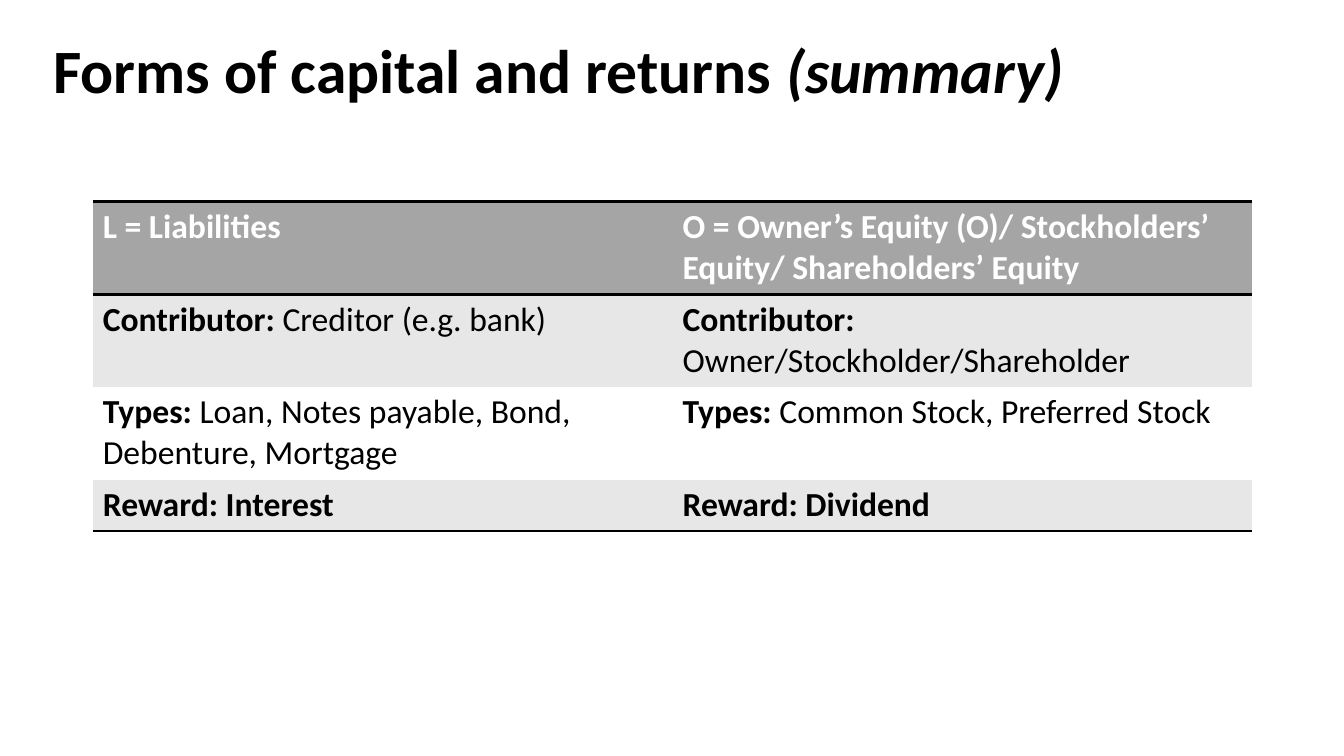
from lxml import etree
from pptx import Presentation
from pptx import util as u
from pptx.dml.color import RGBColor
from pptx.enum import text
from pptx.oxml.ns import qn

INK = {"black": "000000", "white": "FFFFFF", "head": "A5A5A5", "band": "E7E7E7"}
WIDE, HIGH = 13.33, 7.5
LINE, PAD = 0.41, 0.1
ROWS = [
    (2, [[("L = Liabilities", True)],
         [("O = Owner’s Equity (O)/ Stockholders’ Equity/ Shareholders’ Equity", True)]]),
    (2, [[("Contributor: ", True), ("Creditor (e.g. bank)", False)],
         [("Contributor: ", True), ("Owner/Stockholder/Shareholder", False)]]),
    (2, [[("Types: ", True), ("Loan, Notes payable, Bond, Debenture, Mortgage", False)],
         [("Types: ", True), ("Common Stock, Preferred Stock", False)]]),
    (1, [[("Reward: Interest", True)], [("Reward: Dividend", True)]]),
]


def tint(name):
    """Return a named colour."""
    return RGBColor.from_string(INK[name])


def style(para, size, ink):
    """Set the font that all runs of a paragraph share."""
    para.font.name = "Calibri"
    para.font.size = u.Pt(size)
    para.font.color.rgb = tint(ink)


def edge(cell, side, ruled):
    """Draw a black rule on one side of a cell, or clear that side."""
    line = etree.SubElement(cell._tc.get_or_add_tcPr(), qn("a:ln" + side))
    if ruled:
        line.set("w", str(u.Pt(2)))
        fill = etree.SubElement(line, qn("a:solidFill"))
        etree.SubElement(fill, qn("a:srgbClr")).set("val", INK["black"])
    else:
        etree.SubElement(line, qn("a:noFill"))


def title(slide):
    """Add the heading with its italic ending."""
    box = slide.shapes.add_textbox(u.Inches(0.43), u.Inches(0.29), u.Inches(11.5), u.Inches(0.88))
    frame = box.text_frame
    frame.word_wrap = True
    frame.vertical_anchor = text.MSO_ANCHOR.MIDDLE
    para = frame.paragraphs[0]
    para.line_spacing = 0.9
    para.add_run().text = "Forms of capital and returns "
    run = para.add_run()
    run.text = "(summary)"
    run.font.italic = True
    style(para, 44, "black")
    para.font.bold = True


def fill(cell, runs, row):
    """Write one cell and give it the rules and fill of its row."""
    para = cell.text_frame.paragraphs[0]
    for words, bold in runs:
        run = para.add_run()
        run.text = words
        run.font.bold = bold
    style(para, 24, "black" if row else "white")
    for side, ruled in (("L", False), ("R", False), ("T", row < 2), ("B", row in (0, len(ROWS) - 1))):
        edge(cell, side, ruled)
    shade = "band" if row % 2 else "white"
    cell.fill.solid()
    cell.fill.fore_color.rgb = tint(shade if row else "head")


def grid(slide):
    """Add the table of liabilities against equity."""
    high = sum(lines * LINE + PAD for lines, _ in ROWS)
    frame = slide.shapes.add_table(len(ROWS), 2, u.Inches(0.92), u.Inches(2), u.Inches(11.5), u.Inches(high))
    table = frame.table
    table.horz_banding = False
    for row, (lines, cells) in enumerate(ROWS):
        table.rows[row].height = u.Inches(lines * LINE + PAD)
        for col, runs in enumerate(cells):
            fill(table.cell(row, col), runs, row)


def main():
    """Build and save the slide."""
    deck = Presentation()
    deck.slide_width, deck.slide_height = u.Inches(WIDE), u.Inches(HIGH)
    slide = deck.slides.add_slide(deck.slide_layouts[6])
    title(slide)
    grid(slide)
    deck.save("out.pptx")


if __name__ == "__main__":
    main()
